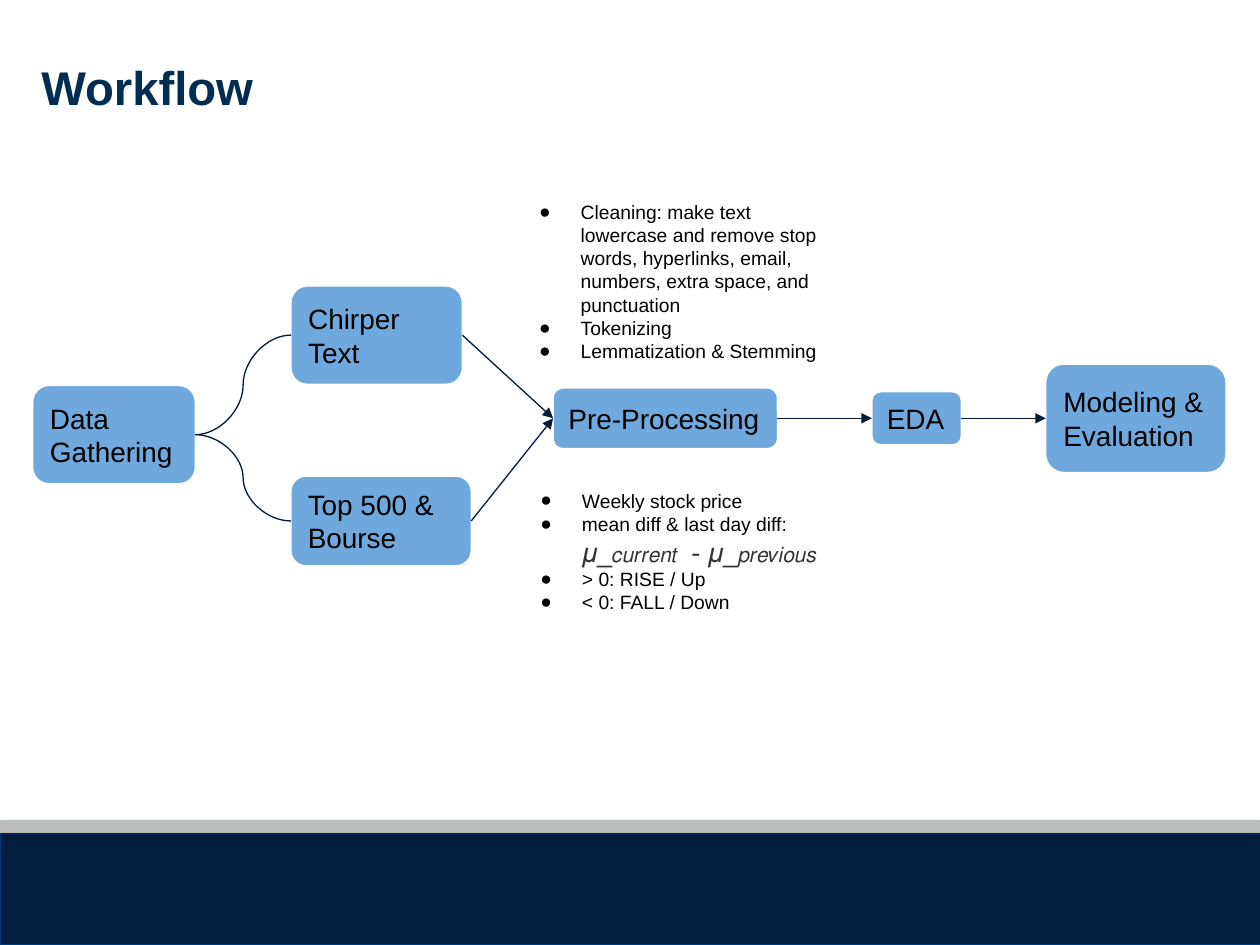
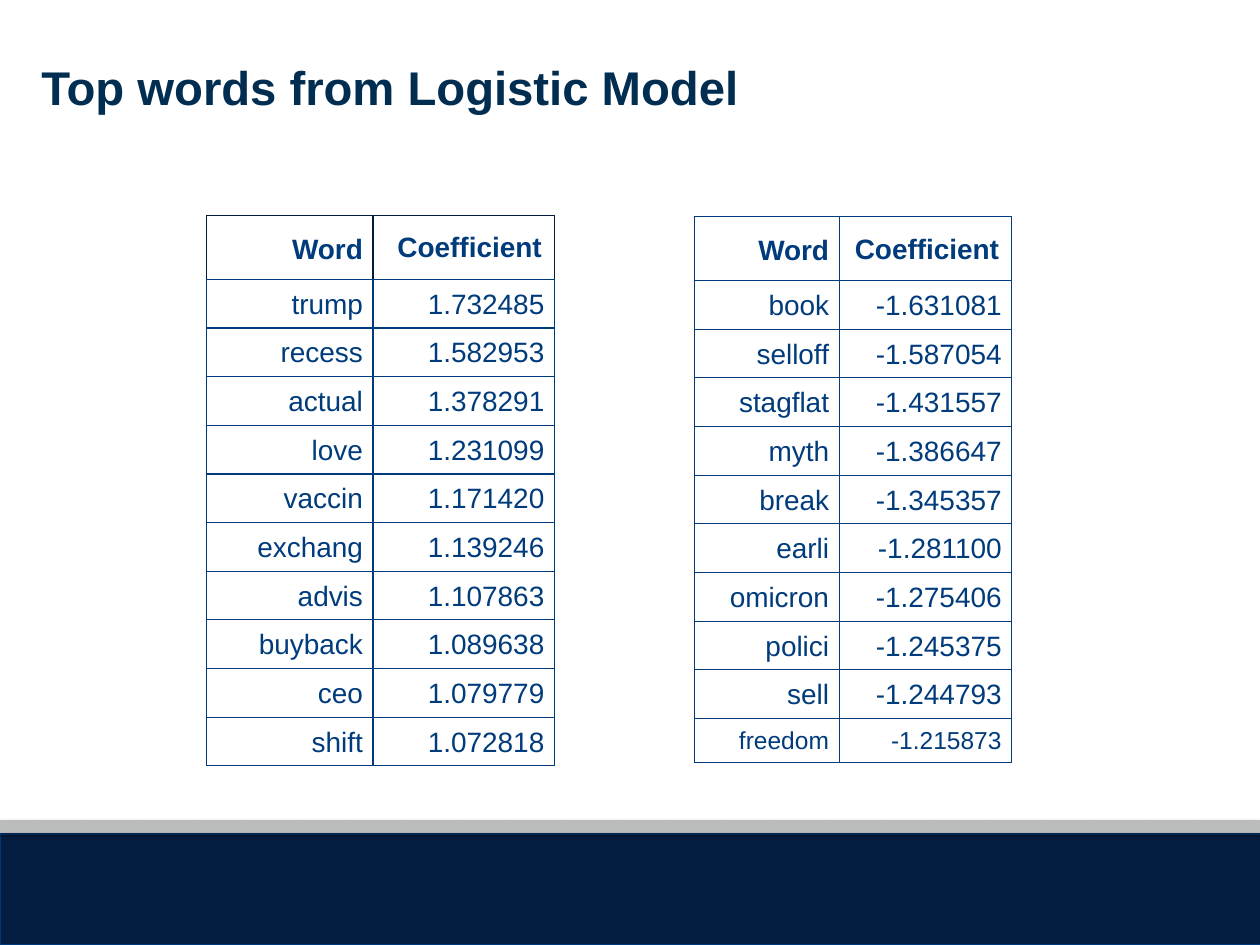
from lxml.etree import SubElement
from pptx import Presentation
from pptx.dml.color import RGBColor
from pptx.enum.shapes import MSO_CONNECTOR as Connector, MSO_SHAPE as Shape
from pptx.enum.text import MSO_ANCHOR as Anchor, MSO_AUTO_SIZE as AutoSize, PP_ALIGN as Align
from pptx.oxml.ns import qn
from pptx.util import Inches, Pt

FONT = "Arial"
COLORS = {
    "navy": "041E42", "navy_edge": "00387C", "grey": "BBBCBC", "title": "002D50",
    "box": "6FA8DC", "white": "FFFFFF", "black": "000000", "formula": "333333",
    "arrow": "011B39", "table": "003B7C",
}

# Bands shared by the slides: left, top, width, height, fill, line
BANDS = [
    (0, 6.62, 10.02, 0.88, "navy", "navy_edge"),
    (0, 6.51, 10, 0.1, "grey", None),
]

# Workflow steps: left, top, width, height, label
STEPS = {
    "gathering": (0.26, 3.06, 1.29, 0.78, "Data Gathering"),
    "posts": (2.31, 2.27, 1.36, 0.78, "Chirper Text"),
    "market": (2.31, 3.78, 1.43, 0.71, "Top 500 & Bourse"),
    "processing": (4.39, 3.08, 1.78, 0.48, "Pre-Processing"),
    "eda": (6.92, 3.11, 0.71, 0.42, "EDA"),
    "modeling": (8.3, 2.89, 1.43, 0.86, "Modeling & Evaluation"),
}
CURVES = [("gathering", "market"), ("gathering", "posts")]
ARROWS = [("posts", "processing"), ("market", "processing"),
          ("processing", "eda"), ("eda", "modeling")]

# Each note is a list of runs: text, size, colour; None is a line break
NOTE_SIZE = 11


def plain(text):
    return [(text, NOTE_SIZE, "black")]


TEXT_NOTES = [
    plain("Cleaning: make text lowercase and remove stop words, hyperlinks, email, "
          "numbers, extra space, and punctuation"),
    plain("Tokenizing"),
    plain("Lemmatization & Stemming"),
]
STOCK_NOTES = [
    plain("Weekly stock price"),
    plain("mean diff & last day diff:") + [
        None,
        ("𝜇_", 15.5, "formula"), ("𝑐𝑢𝑟𝑟𝑒𝑛𝑡 ", 12, "formula"),
        (" - 𝜇_", 15.5, "formula"), ("𝑝𝑟𝑒𝑣𝑖𝑜𝑢𝑠", 12, "formula"),
    ],
    plain("> 0: RISE / Up"),
    plain("< 0: FALL / Down"),
]
NOTES = [
    ((4.01, 1.49, 2.58, 1.5), TEXT_NOTES),
    ((4.02, 3.78, 2.58, 1.2), STOCK_NOTES),
]

HEADER = ("Word", "Coefficient")
WORD_TABLES = [
    {
        "at": (1.64, 1.71), "columns": (1.32, 1.44), "heights": [0.5] + [0.3] * 10,
        "header_border": "arrow", "last_size": 16,
        "rows": [
            ("trump", "1.732485"), ("recess", "1.582953"), ("actual", "1.378291"),
            ("love", "1.231099"), ("vaccin", "1.171420"), ("exchang", "1.139246"),
            ("advis", "1.107863"), ("buyback", "1.089638"), ("ceo", "1.079779"),
            ("shift", "1.072818"),
        ],
    },
    {
        "at": (5.51, 1.72), "columns": (1.15, 1.37), "heights": [0.43] + [0.24] * 9 + [0.07],
        "header_border": "table", "last_size": 14,
        "rows": [
            ("book", "-1.631081"), ("selloff", "-1.587054"), ("stagflat", "-1.431557"),
            ("myth", "-1.386647"), ("break", "-1.345357"), ("earli", "-1.281100"),
            ("omicron", "-1.275406"), ("polici", "-1.245375"), ("sell", "-1.244793"),
            ("freedom", "-1.215873"),
        ],
    },
]


def color(name):
    return RGBColor.from_string(COLORS[name])


def inches(*lengths):
    return [Inches(length) for length in lengths]


def set_attributes(target, **values):
    for name, value in values.items():
        setattr(target, name, value)


def set_margins(target, horizontal, vertical):
    set_attributes(target, margin_left=Inches(horizontal), margin_right=Inches(horizontal),
                   margin_top=Inches(vertical), margin_bottom=Inches(vertical))


def add_run(paragraph, text, size, color_name, bold=False):
    run = paragraph.add_run()
    run.text = text
    set_attributes(run.font, name=FONT, size=Pt(size), bold=bold)
    run.font.color.rgb = color(color_name)


def add_filled_shape(slide, kind, place, fill, line):
    shape = slide.shapes.add_shape(kind, *inches(*place))
    shape.shadow.inherit = False
    shape.fill.solid()
    shape.fill.fore_color.rgb = color(fill)
    if line:
        shape.line.color.rgb = color(line)
        shape.line.width = Pt(0.75)
    else:
        shape.line.fill.background()
    return shape


def add_band(slide, *place, fill, line):
    band = add_filled_shape(slide, Shape.RECTANGLE, place, fill, line)
    effects = band._element.spPr.find(qn("a:effectLst"))
    shadow = SubElement(effects, qn("a:outerShdw"), blurRad=str(Pt(3.1)), dist=str(Pt(1.8)),
                        dir="5400000", rotWithShape="0")
    shade = SubElement(shadow, qn("a:srgbClr"), val=COLORS["black"])
    SubElement(shade, qn("a:alpha"), val="35000")


def add_slide(presentation, title):
    """Add a blank slide with the shared bands and title."""
    slide = presentation.slides.add_slide(presentation.slide_layouts[6])
    for *place, fill, line in BANDS:
        add_band(slide, *place, fill=fill, line=line)
    frame = slide.shapes.add_textbox(*inches(0.23, 0.37, 9.5, 0.96)).text_frame
    frame.word_wrap = True
    set_margins(frame, 0.1, 0.09)
    add_run(frame.paragraphs[0], title, 27, "title", bold=True)
    return slide


def add_step(slide, *place, label):
    step = add_filled_shape(slide, Shape.FLOWCHART_ALTERNATE_PROCESS, place, "box", "white")
    frame = step.text_frame
    set_attributes(frame, word_wrap=True, vertical_anchor=Anchor.MIDDLE)
    set_margins(frame, 0.1, 0.1)
    frame.paragraphs[0].alignment = Align.LEFT
    add_run(frame.paragraphs[0], label, 16, "black")
    return step


def add_link(slide, kind, start, end, arrow):
    """Join the right side of start to the left side of end."""
    link = slide.shapes.add_connector(kind, 0, 0, 0, 0)
    link.begin_connect(start, 3)
    link.end_connect(end, 1)
    link.line.color.rgb = color("arrow")
    link.line.width = Pt(0.75)
    if arrow:
        SubElement(link.line._get_or_add_ln(), qn("a:tailEnd"), type="triangle")
    SubElement(link._element.spPr, qn("a:effectLst"))


def add_bullet(paragraph):
    properties = paragraph._p.get_or_add_pPr()
    properties.set("marL", str(Inches(0.5)))
    properties.set("indent", str(Inches(-0.33)))
    bullet_color = SubElement(properties, qn("a:buClr"))
    SubElement(bullet_color, qn("a:srgbClr"), val=COLORS["black"])
    SubElement(properties, qn("a:buFont"), typeface=FONT)
    SubElement(properties, qn("a:buChar"), char="●")


def add_notes(slide, place, notes):
    frame = slide.shapes.add_textbox(*inches(*place)).text_frame
    set_attributes(frame, word_wrap=True, auto_size=AutoSize.SHAPE_TO_FIT_TEXT)
    set_margins(frame, 0.1, 0.1)
    for index, runs in enumerate(notes):
        paragraph = frame.add_paragraph() if index else frame.paragraphs[0]
        add_bullet(paragraph)
        for run in runs:
            if run:
                add_run(paragraph, *run)
            else:
                paragraph.add_line_break()
                SubElement(paragraph._p[-1], qn("a:rPr"), sz=str(NOTE_SIZE * 100))


def set_borders(cell, color_name):
    properties = cell._tc.get_or_add_tcPr()
    for side in ("lnL", "lnR", "lnT", "lnB"):
        border = SubElement(properties, qn(f"a:{side}"), w=str(Pt(0.75)))
        fill = SubElement(border, qn("a:solidFill"))
        SubElement(fill, qn("a:srgbClr"), val=COLORS[color_name])


def fill_cell(cell, text, size, bold, border):
    set_borders(cell, border)
    cell.fill.background()
    set_margins(cell, 0.08, 0.04)
    paragraph = cell.text_frame.paragraphs[0]
    set_attributes(paragraph, alignment=Align.RIGHT, line_spacing=1.15)
    add_run(paragraph, text, size, "table", bold)


def add_word_table(slide, words):
    rows = [HEADER] + words["rows"]
    size = sum(words["columns"]), sum(words["heights"])
    table = slide.shapes.add_table(len(rows), len(HEADER), *inches(*words["at"], *size)).table
    set_attributes(table, first_row=False, horz_banding=False)
    for column, width in zip(table.columns, words["columns"]):
        column.width = Inches(width)
    for row, height in zip(table.rows, words["heights"]):
        row.height = Inches(height)
    for row_index, texts in enumerate(rows):
        is_header = row_index == 0
        text_size = words["last_size"] if row_index == len(rows) - 1 else 16
        border = words["header_border"] if is_header else "table"
        for column_index, text in enumerate(texts):
            fill_cell(table.cell(row_index, column_index), text, text_size, is_header, border)
    table.cell(0, 0).vertical_anchor = Anchor.MIDDLE
    set_margins(table.cell(0, 1), 0.1, 0.1)


def build_workflow(presentation):
    slide = add_slide(presentation, "Workflow")
    steps = {name: add_step(slide, *place, label=label)
             for name, (*place, label) in STEPS.items()}
    for place, notes in NOTES:
        add_notes(slide, place, notes)
    for kind, pairs, arrow in ((Connector.CURVE, CURVES, False),
                               (Connector.STRAIGHT, ARROWS, True)):
        for start, end in pairs:
            add_link(slide, kind, steps[start], steps[end], arrow)


def build_top_words(presentation):
    slide = add_slide(presentation, "Top words from Logistic Model")
    for words in WORD_TABLES:
        add_word_table(slide, words)


def main():
    presentation = Presentation()
    set_attributes(presentation, slide_width=Inches(10), slide_height=Inches(7.5))
    build_workflow(presentation)
    build_top_words(presentation)
    presentation.save("out.pptx")


if __name__ == "__main__":
    main()
